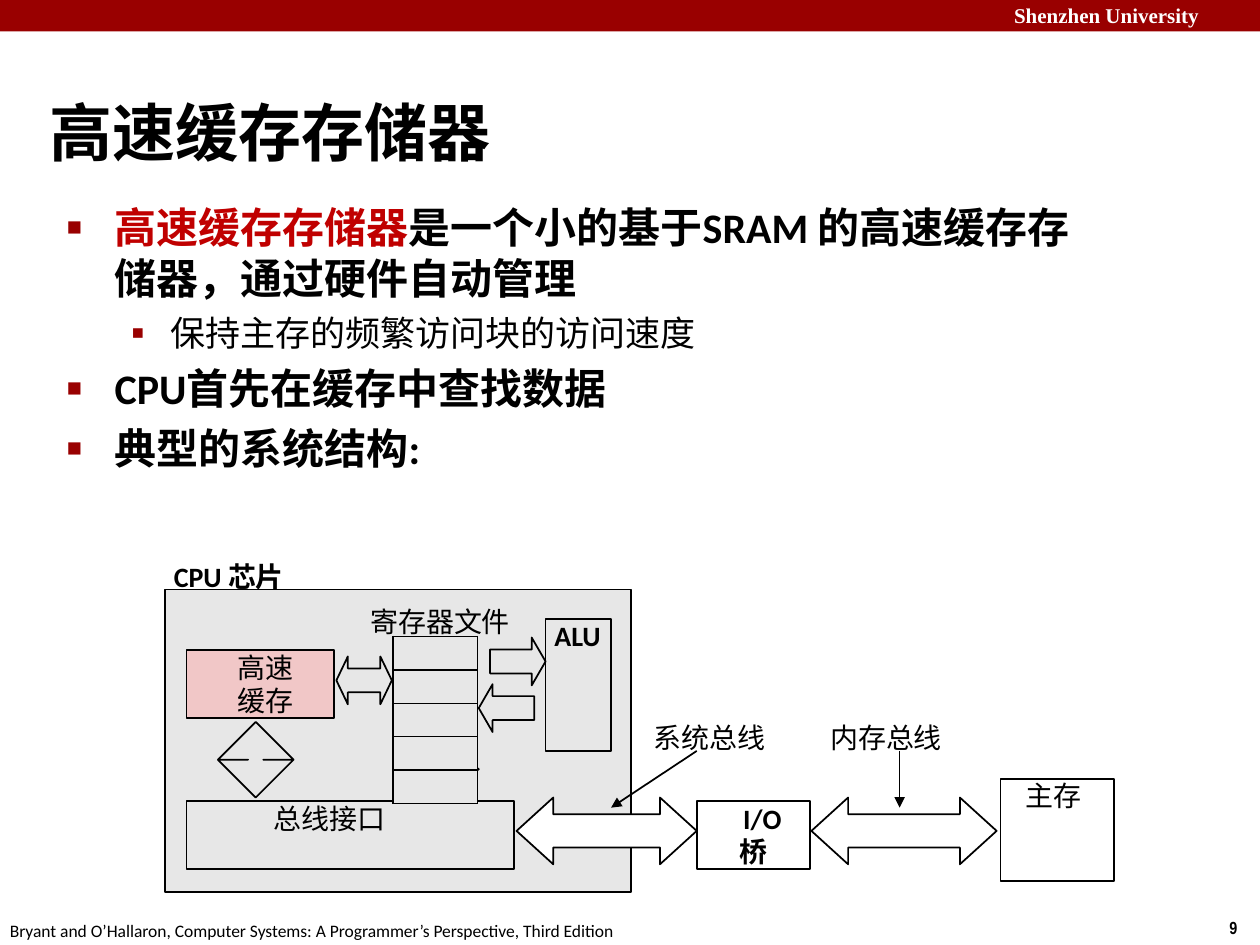
from dataclasses import dataclass

import pptx
import pptx.dml.color
import pptx.enum.shapes
import pptx.enum.text
import pptx.oxml.ns
import pptx.util
from lxml import etree

Inches = pptx.util.Inches
Pt = pptx.util.Pt
RGB = pptx.dml.color.RGBColor
Shape = pptx.enum.shapes.MSO_SHAPE
Align = pptx.enum.text.PP_ALIGN
Anchor = pptx.enum.text.MSO_ANCHOR


@dataclass(frozen=True)
class Theme:
    black: RGB = RGB(0, 0, 0)
    white: RGB = RGB(255, 255, 255)
    banner: RGB = RGB(0x99, 0, 0)
    emphasis: RGB = RGB(0xC0, 0, 0)
    chip: RGB = RGB(0xE7, 0xE7, 0xE7)
    cache: RGB = RGB(0xF1, 0xC7, 0xC7)
    font: str = "Calibri"
    title: int = 36
    point: int = 24
    detail: int = 20
    label: int = 16
    banner_text: int = 12
    footer: int = 10
    line: int = 1


THEME = Theme()


@dataclass(frozen=True)
class Frame:
    left: float
    top: float
    width: float
    height: float

    def lengths(self) -> tuple:
        return tuple(Inches(v) for v in (self.left, self.top, self.width, self.height))


@dataclass(frozen=True)
class Block:
    frame: Frame
    lines: tuple = ()
    fill: RGB | None = None
    margin: float = 0
    first_indent: float = 0
    centred: bool = False
    bold: bool = False


@dataclass(frozen=True)
class BusArrow:
    preset: Shape
    frame: Frame
    head: float
    fill: RGB | None = None


@dataclass(frozen=True)
class Label:
    frame: Frame
    text: str
    size: int = THEME.label
    color: RGB = THEME.black
    bold: bool = False
    font: str = THEME.font
    inset: float = 0
    wrap: bool = True


@dataclass(frozen=True)
class Point:
    runs: tuple
    level: int = 0
    before: float = 5.5


CHIP = Block(Frame(1.31, 4.68, 3.7, 2.4), fill=THEME.chip)
BLOCKS = (
    Block(Frame(7.94, 6.18, 0.9, 0.81), ("主存",), margin=0.2),
    Block(Frame(5.53, 6.36, 0.9, 0.54), ("I/O 桥",), margin=0.15, first_indent=0.14,
          centred=True, bold=True),
    Block(Frame(1.48, 6.36, 2.6, 0.54), ("总线接口",), THEME.chip, margin=0.69),
    Block(Frame(4.33, 4.91, 0.52, 1.05), ("ALU",), THEME.chip, margin=0.07, bold=True),
    Block(Frame(1.48, 5.16, 1.17, 0.54), ("高速", "缓存"), THEME.cache, margin=0.19,
          first_indent=0.09, centred=True),
)
ARROWS = (
    BusArrow(Shape.LEFT_RIGHT_ARROW, Frame(6.44, 6.33, 1.47, 0.53), 0.55),
    BusArrow(Shape.RIGHT_ARROW, Frame(3.89, 5.06, 0.44, 0.38), 0.29),
    BusArrow(Shape.LEFT_ARROW, Frame(3.8, 5.43, 0.44, 0.38), 0.29),
    BusArrow(Shape.UP_DOWN_ARROW, Frame(3.2, 5.88, 0.6, 0.45), 0.2),
    BusArrow(Shape.UP_DOWN_ARROW, Frame(1.73, 5.73, 0.6, 0.6), 0.2),
    BusArrow(Shape.LEFT_RIGHT_ARROW, Frame(2.67, 5.21, 0.44, 0.38), 0.24),
    BusArrow(Shape.LEFT_RIGHT_ARROW, Frame(4.1, 6.33, 1.43, 0.53), 0.55, THEME.white),
)
LABELS = (
    Label(Frame(7.95, -0.03, 2.12, 0.3), "Shenzhen University", THEME.banner_text,
          THEME.white, True, "Times New Roman", 0.1),
    Label(Frame(9.66, 7.23, 0.34, 0.27), "9", THEME.footer, bold=True,
          font="Arial Narrow", inset=0.1, wrap=False),
    Label(Frame(-0.02, 7.25, 5.09, 0.27),
          "Bryant and O’Hallaron, Computer Systems: A Programmer’s Perspective, Third Edition",
          THEME.footer, inset=0.1, wrap=False),
    Label(Frame(2.94, 4.8, 1.17, 0.27), "寄存器文件"),
    Label(Frame(1.38, 4.44, 0.95, 0.27), "CPU 芯片", bold=True),
    Label(Frame(5.19, 5.72, 1.06, 0.27), "系统总线"),
    Label(Frame(6.59, 5.72, 1.2, 0.27), "内存总线"),
)
POINTERS = ((5.53, 5.96, 4.85, 6.41), (7.14, 5.96, 7.14, 6.41))
POINTS = (
    Point((("高速缓存存储器", THEME.emphasis),
           ("是一个小的基于SRAM ", THEME.black),
           ("的高速缓存存储器，通过硬件自动管理", THEME.black)), before=0),
    Point((("保持主存的频繁访问块的访问速度", THEME.black),), level=1, before=5),
    Point((("CPU首先在缓存中查找数据", THEME.black),)),
    Point((("典型的系统结构", THEME.black), (":", THEME.black))),
)


def add_child(parent, tag: str, **attributes: str):
    child = etree.SubElement(parent, pptx.oxml.ns.qn(tag))
    for name, value in attributes.items():
        child.set(name, value)
    return child


def add_run(para, text: str, size: int, color: RGB = THEME.black,
            bold: bool = False, font: str = THEME.font) -> None:
    run = para.add_run()
    run.text = text
    run.font.size, run.font.bold, run.font.name = Pt(size), bold, font
    run.font.color.rgb = color


def set_frame(text_frame, inset: float = 0, top: float | None = None,
              anchor: Anchor = Anchor.TOP, wrap: bool = True) -> None:
    text_frame.margin_left = text_frame.margin_right = Inches(inset)
    text_frame.margin_top = Inches(inset / 2 if top is None else top)
    text_frame.margin_bottom = Inches(inset / 2)
    text_frame.vertical_anchor, text_frame.word_wrap = anchor, wrap
    text_frame.auto_size = pptx.enum.text.MSO_AUTO_SIZE.NONE


def set_indent(para, margin: float, first: float) -> None:
    properties = para._p.get_or_add_pPr()
    properties.set("marL", str(Inches(margin)))
    properties.set("indent", str(Inches(first)))


def paint(shape, fill: RGB | None, outlined: bool = True) -> None:
    shape.shadow.inherit = False
    if fill is None:
        shape.fill.background()
    else:
        shape.fill.solid()
        shape.fill.fore_color.rgb = fill
    if outlined:
        shape.line.color.rgb, shape.line.width = THEME.black, Pt(THEME.line)
    else:
        shape.line.fill.background()


def add_block(page, block: Block) -> None:
    box = page.shapes.add_shape(Shape.RECTANGLE, *block.frame.lengths())
    paint(box, block.fill)
    set_frame(box.text_frame)
    for number, line in enumerate(block.lines):
        para = box.text_frame.add_paragraph() if number else box.text_frame.paragraphs[0]
        para.alignment = Align.CENTER if block.centred else Align.LEFT
        set_indent(para, block.margin, block.first_indent)
        if block.centred:
            para._p.pPr.set("marR", str(Inches(block.margin)))
        add_run(para, line, THEME.label, bold=block.bold)


def add_bus_arrow(page, arrow: BusArrow) -> None:
    shape = page.shapes.add_shape(arrow.preset, *arrow.frame.lengths())
    paint(shape, arrow.fill)
    shape.adjustments[0], shape.adjustments[1] = 0.5, arrow.head


def add_label(page, label: Label) -> None:
    box = page.shapes.add_textbox(*label.frame.lengths())
    set_frame(box.text_frame, label.inset, wrap=label.wrap)
    add_run(box.text_frame.paragraphs[0], label.text, label.size, label.color,
            label.bold, label.font)


def add_pointer(page, ends: tuple) -> None:
    straight = pptx.enum.shapes.MSO_CONNECTOR.STRAIGHT
    pointer = page.shapes.add_connector(straight, *(Inches(v) for v in ends))
    pointer.line.color.rgb, pointer.line.width = THEME.black, Pt(THEME.line)
    add_child(pointer.line._get_or_add_ln(), "a:tailEnd", type="triangle")
    add_child(pointer._element.spPr, "a:effectLst")


def add_registers(page, frame: Frame, count: int) -> None:
    table = page.shapes.add_table(count, 1, *frame.lengths()).table
    table.first_row = table.horz_banding = False
    for row in table.rows:
        row.height = Inches(frame.height / count)
        cell = row.cells[0]
        cell.margin_left = cell.margin_right = cell.margin_top = cell.margin_bottom = 0
        # An empty cell takes its least height from the end-of-paragraph size.
        add_child(cell.text_frame.paragraphs[0]._p, "a:endParaRPr", sz=str(THEME.footer * 100))
        properties = cell._tc.get_or_add_tcPr()
        for side in ("a:lnL", "a:lnR", "a:lnT", "a:lnB"):
            border = add_child(properties, side, w=str(Pt(THEME.line)))
            add_child(add_child(border, "a:solidFill"), "a:srgbClr", val=str(THEME.black))
        cell.fill.solid()
        cell.fill.fore_color.rgb = THEME.chip


def place(shape, frame: Frame) -> None:
    shape.left, shape.top, shape.width, shape.height = frame.lengths()


def fill_title(title) -> None:
    place(title, Frame(0.39, 0.43, 8.3, 0.92))
    set_frame(title.text_frame, top=0.31, anchor=Anchor.MIDDLE)
    para = title.text_frame.paragraphs[0]
    para.alignment = Align.LEFT
    add_run(para, "高速缓存存储器", THEME.title, bold=True)


def fill_points(body) -> None:
    place(body, Frame(0.52, 1.6, 8.02, 2.16))
    set_frame(body.text_frame)
    styles = (("■", 60, 0.39, -0.38, THEME.point), ("▪", 110, 0.83, -0.31, THEME.detail))
    for number, point in enumerate(POINTS):
        para = body.text_frame.add_paragraph() if number else body.text_frame.paragraphs[0]
        bullet, percent, margin, first, size = styles[point.level]
        para.level, para.space_before = point.level, Pt(point.before)
        set_indent(para, margin, first)
        properties = para._p.pPr
        add_child(add_child(properties, "a:buClr"), "a:srgbClr", val=str(THEME.banner))
        add_child(properties, "a:buSzPct", val=str(percent * 1000))
        add_child(properties, "a:buChar", char=bullet)
        add_child(add_child(properties, "a:tabLst"), "a:tab", pos=str(Inches(margin)), algn="l")
        for text, color in point.runs:
            add_run(para, text, size, color, bold=point.level == 0)


def main() -> None:
    deck = pptx.Presentation()
    deck.slide_width, deck.slide_height = Inches(10), Inches(7.5)
    page = deck.slides.add_slide(deck.slide_layouts[1])
    fill_title(page.shapes.title)
    fill_points(page.placeholders[1])
    banner = page.shapes.add_shape(Shape.RECTANGLE, *Frame(0, 0, 10, 0.25).lengths())
    paint(banner, THEME.banner, outlined=False)
    for block in (CHIP, *BLOCKS):
        add_block(page, block)
    for arrow in ARROWS:
        add_bus_arrow(page, arrow)
    for label in LABELS:
        add_label(page, label)
    for ends in POINTERS:
        add_pointer(page, ends)
    add_registers(page, Frame(3.12, 5.05, 0.67, 1.33), 5)
    deck.save("out.pptx")


if __name__ == "__main__":
    main()
